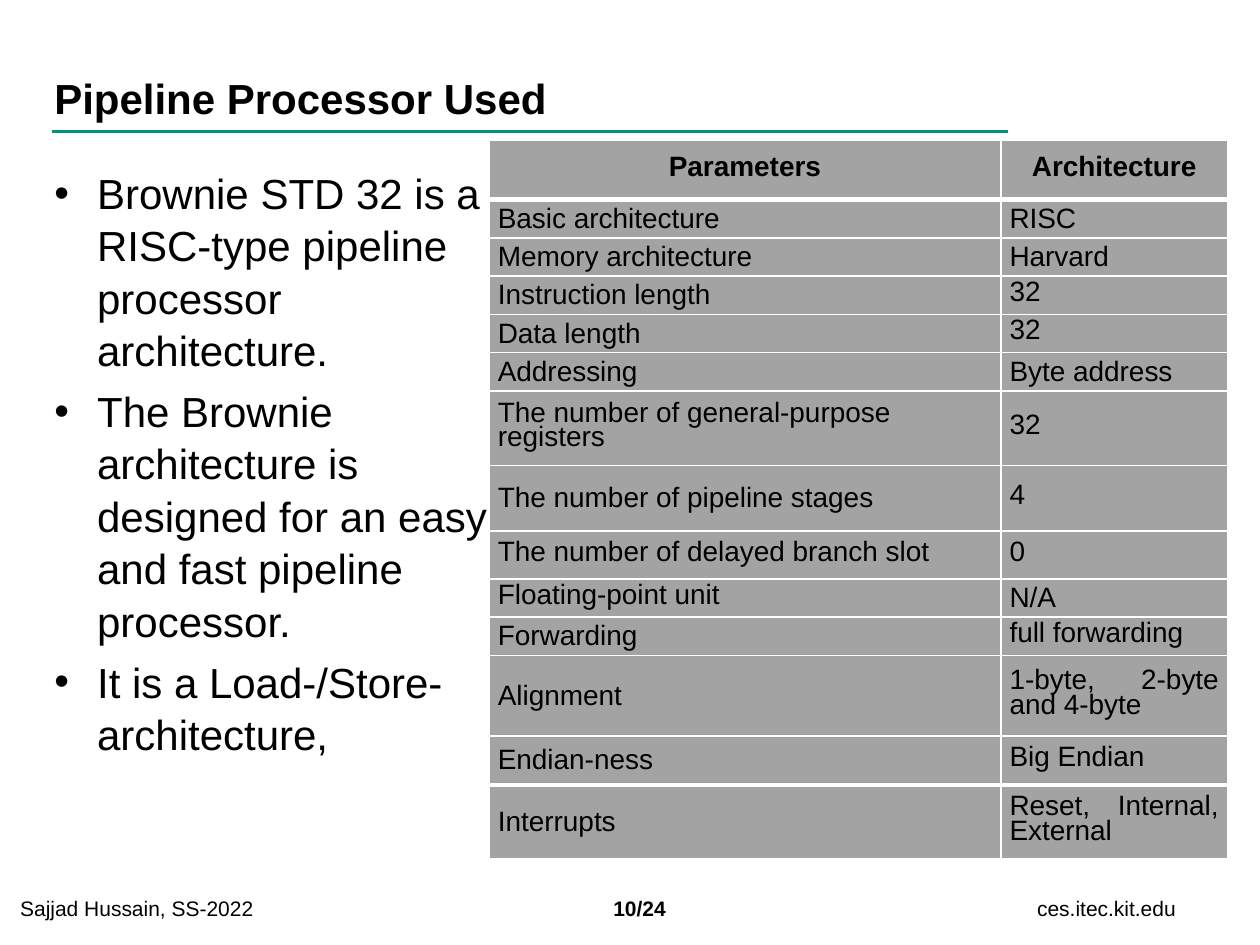
"""Build the slide on the pipeline processor and its parameters."""
from lxml import etree
from pptx import Presentation
from pptx.dml.color import RGBColor
from pptx.enum import shapes, text
from pptx.oxml import ns
from pptx.util import Pt

BLACK = RGBColor(0x00, 0x00, 0x00)
GREEN = RGBColor(0x00, 0x93, 0x7F)
GREY = RGBColor(0xA3, 0xA3, 0xA3)
WHITE = RGBColor(0xFF, 0xFF, 0xFF)
LEFT, CENTER, RIGHT, JUSTIFY = (
    text.PP_ALIGN.LEFT, text.PP_ALIGN.CENTER, text.PP_ALIGN.RIGHT, text.PP_ALIGN.JUSTIFY)
TOP, MIDDLE, BOTTOM = text.MSO_ANCHOR.TOP, text.MSO_ANCHOR.MIDDLE, text.MSO_ANCHOR.BOTTOM


def write(frame, lines, size=24, bold=False, align=LEFT, spacing=None, before=0, after=0, bullet=None):
    frame.word_wrap = True
    for index, line in enumerate(lines):
        paragraph = frame.paragraphs[0] if index == 0 else frame.add_paragraph()
        paragraph.text = line
        paragraph.alignment = align
        paragraph.space_before = Pt(before if index else 0)
        paragraph.space_after = Pt(after)
        paragraph.line_spacing = spacing
        if bullet:
            properties = paragraph._p.get_or_add_pPr()
            properties.set("marL", str(Pt(24.5)))
            properties.set("indent", str(-Pt(24.5)))
            etree.SubElement(properties, ns.qn("a:buFont"), typeface="Arial")
            etree.SubElement(properties, ns.qn("a:buChar"), char=bullet)
        for run in paragraph.runs:
            run.font.name = "Arial"
            run.font.size = Pt(size)
            run.font.bold = bold
            run.font.color.rgb = BLACK


def add_text(left, top, width, height, lines, anchor=MIDDLE, **style):
    frame = slide.shapes.add_textbox(Pt(left), Pt(top), Pt(width), Pt(height)).text_frame
    frame.margin_left = frame.margin_top = frame.margin_right = frame.margin_bottom = 0
    frame.vertical_anchor = anchor
    write(frame, lines, **style)


presentation = Presentation()
presentation.slide_width = Pt(720)
presentation.slide_height = Pt(540)
slide = presentation.slides.add_slide(presentation.slide_layouts[6])

add_text(528, 499, 144, 40, ["ces.itec.kit.edu"], size=12, align=RIGHT, after=2)
add_text(347, 498, 37, 42, ["10/24"], size=12, bold=True, align=CENTER)
add_text(11.5, 498, 325, 42, ["Sajjad Hussain, SS-2022"], size=12)

title_rule = slide.shapes.add_connector(
    shapes.MSO_CONNECTOR.STRAIGHT, Pt(30), Pt(75), Pt(576), Pt(75))
title_rule.line.color.rgb = GREEN
title_rule.line.width = Pt(1.5)
etree.SubElement(title_rule._element.spPr, ns.qn("a:effectLst"))

add_text(31, 26, 544, 44, ["Pipeline Processor Used"], anchor=BOTTOM, bold=True)
add_text(31, 94.5, 248.5, 385, [
    "Brownie STD 32 is a RISC-type pipeline processor architecture.",
    "The Brownie architecture is designed for an easy and fast pipeline processor.",
    "It is a Load-/Store-architecture,",
], anchor=TOP, spacing=1.04, before=5, bullet="•")

HEADER = dict(bold=True, align=CENTER, spacing=Pt(14), after=4)
PLAIN = dict(align=JUSTIFY, after=6)
TIGHT = dict(align=JUSTIFY, spacing=Pt(14), after=2)
TIGHT_LEFT = dict(align=LEFT, spacing=Pt(14), after=2)
ROW = 21.9
parameters = [
    (34, "Parameters", HEADER, "Architecture", HEADER),
    (ROW, "Basic architecture", PLAIN, "RISC", PLAIN),
    (ROW, "Memory architecture", PLAIN, "Harvard", PLAIN),
    (ROW, "Instruction length", PLAIN, "32", TIGHT),
    (ROW, "Data length", PLAIN, "32", TIGHT),
    (ROW, "Addressing", PLAIN, "Byte address", PLAIN),
    (42.5, "The number of general-purpose registers", TIGHT_LEFT, "32", TIGHT),
    (37.5, "The number of pipeline stages", PLAIN, "4", TIGHT),
    (27.4, "The number of delayed branch slot", TIGHT_LEFT, "0", TIGHT),
    (ROW, "Floating-point unit", TIGHT_LEFT, "N/A", PLAIN),
    (ROW, "Forwarding", PLAIN, "full forwarding", TIGHT),
    (46, "Alignment", PLAIN, "1-byte, 2-byte and 4-byte", TIGHT),
    (28, "Endian-ness", PLAIN, "Big Endian", TIGHT),
    (42.3, "Interrupts", PLAIN, "Reset, Internal, External", TIGHT),
]
last = len(parameters) - 1
table = slide.shapes.add_table(
    len(parameters), 2, Pt(279.5), Pt(80), Pt(422), Pt(411)).table
for column, width in zip(table.columns, (292.4, 129.6)):
    column.width = Pt(width)

for row, (height, name, name_style, value, value_style) in enumerate(parameters):
    table.rows[row].height = Pt(height)
    borders = {
        "a:lnL": 1,
        "a:lnR": 1,
        "a:lnT": 3 if row in (1, last) else 1,
        "a:lnB": 3 if row in (0, last - 1) else 1,
    }
    for column, (content, style) in enumerate([(name, name_style), (value, value_style)]):
        cell = table.cell(row, column)
        cell.margin_left = cell.margin_right = Pt(5)
        cell.margin_top = cell.margin_bottom = 0
        cell.vertical_anchor = MIDDLE
        write(cell.text_frame, [content], size=16, **style)
        properties = cell._tc.get_or_add_tcPr()
        for side, weight in borders.items():
            line = etree.SubElement(properties, ns.qn(side), w=str(Pt(weight)))
            fill = etree.SubElement(line, ns.qn("a:solidFill"))
            etree.SubElement(fill, ns.qn("a:srgbClr"), val=str(WHITE))
        cell.fill.solid()
        cell.fill.fore_color.rgb = GREY

presentation.save("out.pptx")
